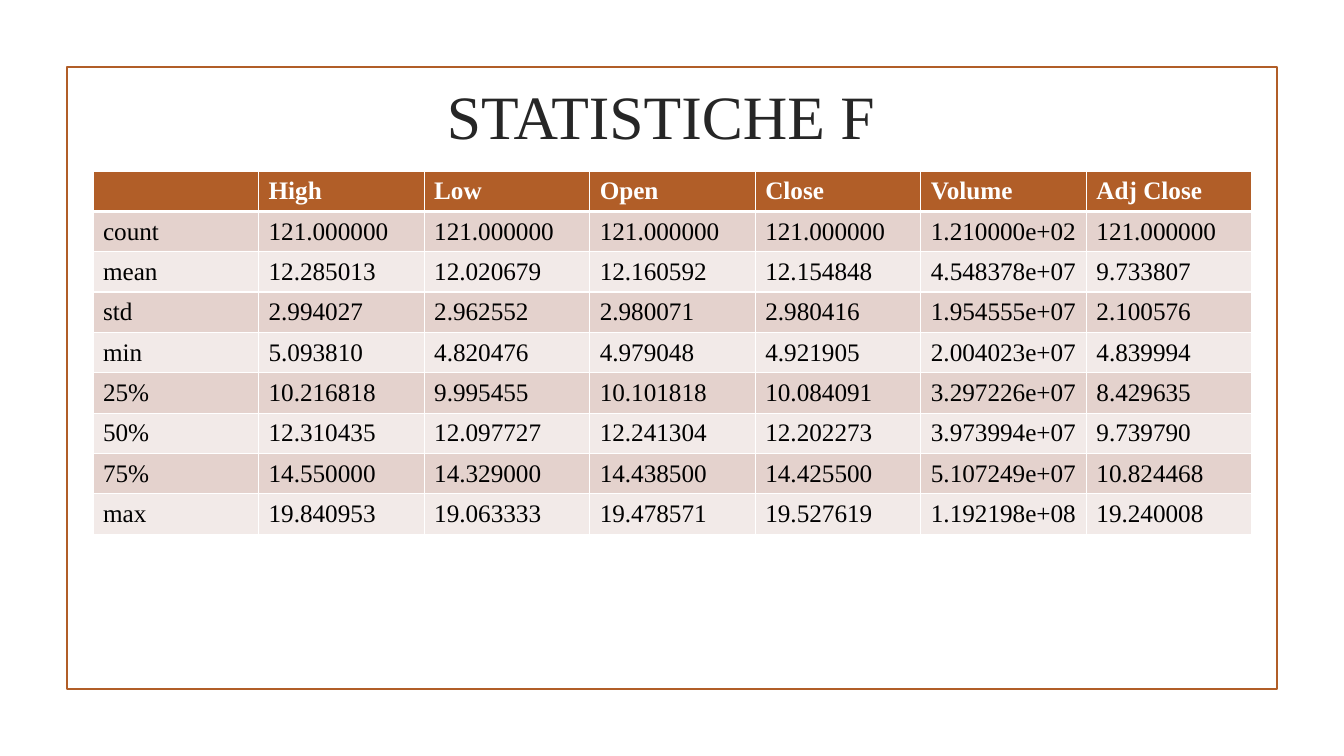
from dataclasses import dataclass

from lxml import etree
from pptx import Presentation
from pptx.dml.color import RGBColor
from pptx.enum.shapes import MSO_SHAPE
from pptx.enum.text import MSO_ANCHOR, PP_ALIGN
from pptx.oxml.ns import qn
from pptx.util import Emu, Pt

RECTANGLE = MSO_SHAPE.RECTANGLE
MIDDLE = MSO_ANCHOR.MIDDLE
CENTER = PP_ALIGN.CENTER
LEFT = PP_ALIGN.LEFT

EMU_PER_PX = 914400 / 100.8

HEADER = ["", "High", "Low", "Open", "Close", "Volume", "Adj Close"]
STATISTICS = [
    ["count", "121.000000", "121.000000", "121.000000", "121.000000", "1.210000e+02", "121.000000"],
    ["mean", "12.285013", "12.020679", "12.160592", "12.154848", "4.548378e+07", "9.733807"],
    ["std", "2.994027", "2.962552", "2.980071", "2.980416", "1.954555e+07", "2.100576"],
    ["min", "5.093810", "4.820476", "4.979048", "4.921905", "2.004023e+07", "4.839994"],
    ["25%", "10.216818", "9.995455", "10.101818", "10.084091", "3.297226e+07", "8.429635"],
    ["50%", "12.310435", "12.097727", "12.241304", "12.202273", "3.973994e+07", "9.739790"],
    ["75%", "14.550000", "14.329000", "14.438500", "14.425500", "5.107249e+07", "10.824468"],
    ["max", "19.840953", "19.063333", "19.478571", "19.527619", "1.192198e+08", "19.240008"],
]


@dataclass(frozen=True)
class Theme:
    font: str = "Times New Roman"
    accent: str = "B15E28"
    title: str = "262626"
    text: str = "000000"
    white: str = "FFFFFF"
    bands: tuple = ("E4D2CD", "F2EAE8")
    title_size: int = 44
    table_size: int = 18
    frame_line: float = 1.25
    grid_line: int = 1
    header_line: int = 3


def px(value):
    return Emu(round(value * EMU_PER_PX))


def rgb(value):
    return RGBColor.from_string(value)


class SlideBuilder:
    def __init__(self, prs, theme):
        self.theme = theme
        self.s = prs.slides.add_slide(prs.slide_layouts[6])

    def set_text(self, tf, text, size, color, align, bold=False):
        p = tf.paragraphs[0]
        p.text = text
        p.alignment = align
        for r in p.runs:
            r.font.name = self.theme.font
            r.font.size = Pt(size)
            r.font.bold = bold
            r.font.color.rgb = rgb(color)

    def frame(self, x, y, w, h):
        sp = self.s.shapes.add_shape(RECTANGLE, px(x), px(y), px(w), px(h))
        sp.shadow.inherit = False
        sp.fill.background()
        sp.line.color.rgb = rgb(self.theme.accent)
        sp.line.width = Pt(self.theme.frame_line)

    def title(self, text, x, y, w, h):
        tf = self.s.shapes.add_textbox(px(x), px(y), px(w), px(h)).text_frame
        tf.word_wrap = True
        tf.vertical_anchor = MIDDLE
        self.set_text(tf, text, self.theme.title_size, self.theme.title, CENTER)

    def borders(self, cell, top, bottom):
        tcPr = cell._tc.get_or_add_tcPr()
        grid = self.theme.grid_line
        for tag, width in (("a:lnL", grid), ("a:lnR", grid), ("a:lnT", top), ("a:lnB", bottom)):
            ln = etree.SubElement(tcPr, qn(tag), w=str(Pt(width)))
            fill = etree.SubElement(ln, qn("a:solidFill"))
            etree.SubElement(fill, qn("a:srgbClr"), val=self.theme.white)

    def cell(self, cell, text, row):
        t = self.theme
        is_header = row == 0
        self.borders(
            cell,
            t.header_line if row == 1 else t.grid_line,
            t.header_line if is_header else t.grid_line,
        )
        cell.fill.solid()
        cell.fill.fore_color.rgb = rgb(t.accent if is_header else t.bands[(row - 1) % 2])
        cell.vertical_anchor = MIDDLE
        color = t.white if is_header else t.text
        self.set_text(cell.text_frame, text, t.table_size, color, LEFT, is_header)

    def table(self, rows, x, y, w, row_h):
        height = px(row_h * len(rows))
        table = self.s.shapes.add_table(len(rows), len(rows[0]), px(x), px(y), px(w), height).table
        for i, values in enumerate(rows):
            table.rows[i].height = px(row_h)
            for j, text in enumerate(values):
                self.cell(table.cell(i, j), text, i)


def main():
    prs = Presentation()
    prs.slide_width, prs.slide_height = px(1344), px(756)
    slide = SlideBuilder(prs, Theme())
    slide.frame(67, 67, 1210, 622)
    slide.title("STATISTICHE F", -9, 42, 1340, 146)
    slide.table([HEADER] + STATISTICS, 93, 171, 1159, 38)
    prs.save("out.pptx")


if __name__ == "__main__":
    main()
